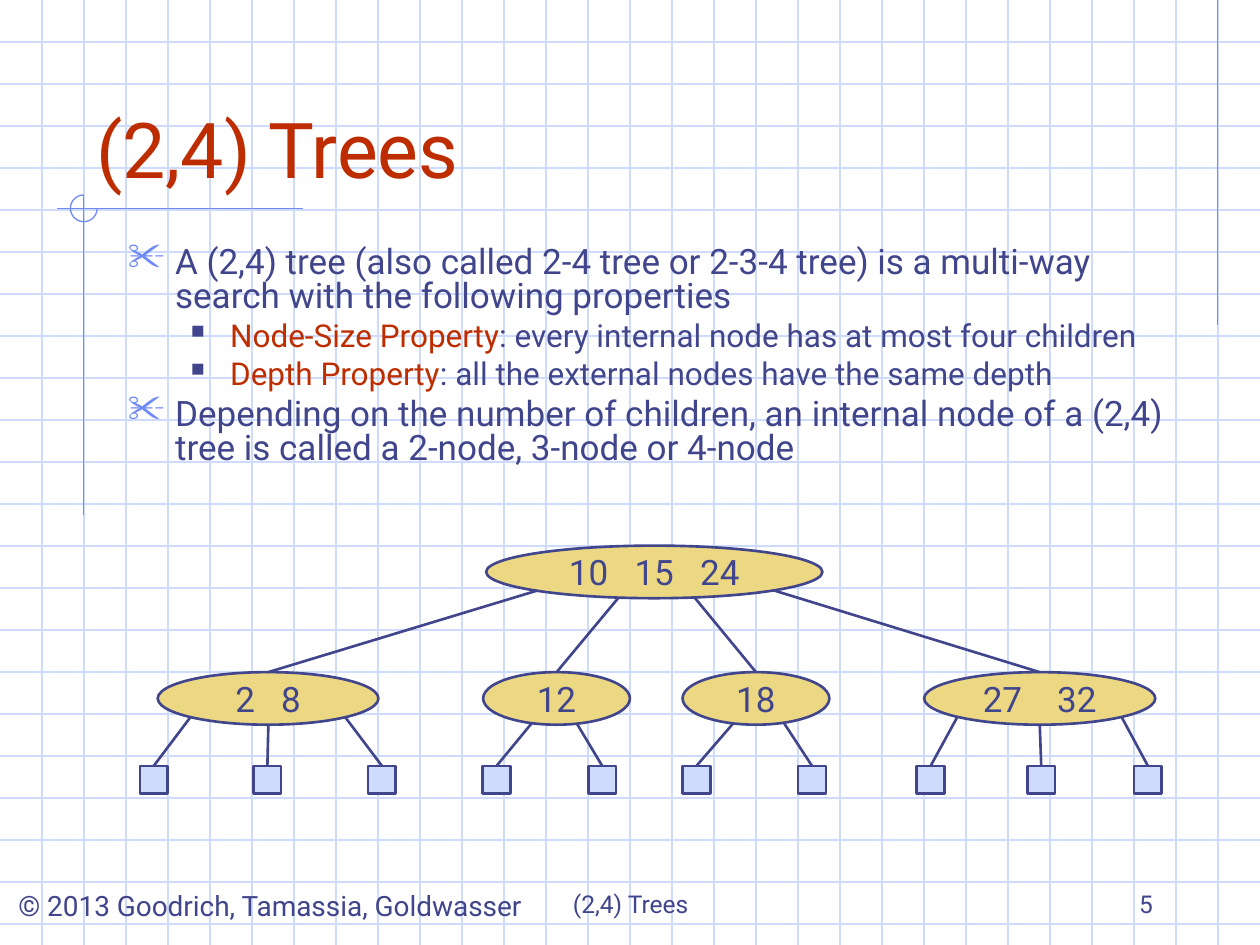
from dataclasses import dataclass
from math import sqrt

from lxml import etree
from pptx import Presentation
from pptx.dml.color import RGBColor
from pptx.enum.shapes import MSO_CONNECTOR, MSO_SHAPE
from pptx.enum.text import MSO_ANCHOR, PP_ALIGN
from pptx.oxml.ns import qn
from pptx.util import Cm, Pt

STRAIGHT = MSO_CONNECTOR.STRAIGHT
OVAL, SQUARE, ARC = MSO_SHAPE.OVAL, MSO_SHAPE.RECTANGLE, MSO_SHAPE.ARC
TOP, MIDDLE, BOTTOM = MSO_ANCHOR.TOP, MSO_ANCHOR.MIDDLE, MSO_ANCHOR.BOTTOM
LEFT, CENTER, RIGHT = PP_ALIGN.LEFT, PP_ALIGN.CENTER, PP_ALIGN.RIGHT

INDIGO = RGBColor(0x40, 0x45, 0x8C)
RED = RGBColor(0xBE, 0x2D, 0x00)
BLUE = RGBColor(0x6F, 0x89, 0xF7)
PALE_BLUE = RGBColor(0xCF, 0xDB, 0xFD)
GOLD = RGBColor(0xEC, 0xD8, 0x82)

FONT = "Roboto"
WIDTH, HEIGHT = 25.4, 19.05
GRID_STEP = WIDTH / 30
THIN, THICK = 0.74, 1.5
NODE_HEIGHT, LEAF_SIZE = 1.06, 0.56
ROOT_TOP, NODE_TOP, LEAF_TOP = 11.0, 13.55, 15.44


@dataclass
class Node:
    left: float
    top: float
    width: float
    keys: tuple[str, ...]
    edge_starts: tuple[float, ...]
    leaves: tuple[float, ...] = ()
    key_spacing: int = 10

    @property
    def center(self) -> float:
        return self.left + self.width / 2

    def rim(self, x: float) -> float:
        offset = (x - self.center) / (self.width / 2)
        return self.top + NODE_HEIGHT / 2 * (1 + sqrt(1 - offset ** 2))


@dataclass
class Label:
    text: str
    box: tuple[float, float, float, float]
    size: int
    color: RGBColor
    alignment: PP_ALIGN
    wrap: bool = True
    anchor: MSO_ANCHOR = BOTTOM


@dataclass
class Level:
    size: int
    before: float
    margin: float
    hanging: float
    bullet: str
    bullet_color: RGBColor
    bullet_percent: int


@dataclass
class Point:
    level: int
    text: str
    term: str = ""


LEVELS = (
    Level(20, 5, 0.95, 0.95, "✂", BLUE, 110),
    Level(18, 4.5, 2.06, 0.79, "■", INDIGO, 60),
)
POINTS = (
    Point(0, "A (2,4) tree (also called 2-4 tree or 2-3-4 tree) is a multi-way "
             "search with the following properties"),
    Point(1, ": every internal node has at most four children", "Node-Size Property"),
    Point(1, ": all the external nodes have the same depth", "Depth Property"),
    Point(0, "Depending on the number of children, an internal node of a (2,4) tree "
             "is called a 2-node, 3-node or 4-node"),
)
LABELS = (
    Label("© 2013 Goodrich, Tamassia, Goldwasser", (-0.13, 17.78, 11.15, 0.94),
          16, INDIGO, CENTER, False, TOP),
    Label("(2,4) Trees", (8.69, 17.36, 8.05, 1.27), 14, INDIGO, CENTER),
    Label("5", (18.2, 17.36, 5.29, 1.27), 14, INDIGO, RIGHT),
    Label("(2,4) Trees", (1.69, 0.85, 21.59, 3.18), 44, RED, LEFT),
)
ROOT = Node(9.8, ROOT_TOP, 6.78, ("10", "15", "24"), (10.82, 12.47, 14.0, 15.6))
CHILDREN = (
    Node(3.18, NODE_TOP, 4.45, ("2", "8"), (3.84, 5.41, 6.96), (2.82, 5.11, 7.42)),
    Node(9.74, NODE_TOP, 2.96, ("12",), (10.72, 11.63), (9.73, 11.86)),
    Node(13.76, NODE_TOP, 2.96, ("18",), (14.78, 15.8), (13.76, 16.09)),
    Node(18.63, NODE_TOP, 4.66, ("27", "32"), (19.3, 20.96, 22.61),
         (18.48, 20.71, 22.86), 15),
)

presentation = Presentation()
presentation.slide_width, presentation.slide_height = Cm(WIDTH), Cm(HEIGHT)
slide = presentation.slides.add_slide(presentation.slide_layouts[6])


def add_line(x1: float, y1: float, x2: float, y2: float,
             color: RGBColor, weight: float) -> None:
    line = slide.shapes.add_connector(STRAIGHT, Cm(x1), Cm(y1), Cm(x2), Cm(y2))
    line.line.color.rgb = color
    line.line.width = Pt(weight)
    etree.SubElement(line._element.spPr, qn("a:effectLst"))


def add_outline(kind: MSO_SHAPE, left: float, top: float, width: float, height: float,
                fill: RGBColor | None, color: RGBColor, weight: float):
    shape = slide.shapes.add_shape(kind, Cm(left), Cm(top), Cm(width), Cm(height))
    shape.shadow.inherit = False
    if fill is None:
        shape.fill.background()
    else:
        shape.fill.solid()
        shape.fill.fore_color.rgb = fill
    shape.line.color.rgb = color
    shape.line.width = Pt(weight)
    return shape


def set_font(paragraph, size: int, color: RGBColor) -> None:
    paragraph.font.name = FONT
    paragraph.font.size = Pt(size)
    paragraph.font.color.rgb = color


def add_text_frame(box: tuple[float, float, float, float], wrap: bool, anchor: MSO_ANCHOR):
    frame = slide.shapes.add_textbox(*map(Cm, box)).text_frame
    frame.word_wrap = wrap
    frame.vertical_anchor = anchor
    return frame


def add_label(label: Label) -> None:
    paragraph = add_text_frame(label.box, label.wrap, label.anchor).paragraphs[0]
    paragraph.text = label.text
    paragraph.alignment = label.alignment
    set_font(paragraph, label.size, label.color)


def add_point(paragraph, point: Point) -> None:
    level = LEVELS[point.level]
    paragraph.level = point.level
    paragraph.line_spacing = 0.8
    paragraph.space_before = Pt(level.before)
    set_font(paragraph, level.size, INDIGO)
    if point.term:
        term = paragraph.add_run()
        term.text = point.term
        term.font.color.rgb = RED
    paragraph.add_run().text = point.text
    properties = paragraph._p.get_or_add_pPr()
    properties.set("marL", str(Cm(level.margin)))
    properties.set("indent", str(-Cm(level.hanging)))
    default_font = properties.find(qn("a:defRPr"))
    color = etree.Element(qn("a:buClr"))
    etree.SubElement(color, qn("a:srgbClr"), val=str(level.bullet_color))
    size = etree.Element(qn("a:buSzPct"), val=str(level.bullet_percent * 1000))
    bullet = etree.Element(qn("a:buChar"), char=level.bullet)
    for element in (color, size, bullet):
        default_font.addprevious(element)


def add_node(node: Node) -> None:
    shape = add_outline(OVAL, node.left, node.top, node.width, NODE_HEIGHT,
                        GOLD, INDIGO, THICK)
    shape.text_frame.word_wrap = False
    shape.text_frame.vertical_anchor = MIDDLE
    paragraph = shape.text_frame.paragraphs[0]
    paragraph.alignment = CENTER
    set_font(paragraph, 20, INDIGO)
    for index, key in enumerate(node.keys):
        if index:
            gap = paragraph.add_run()
            gap.text = " "
            gap._r.get_or_add_rPr().set("spc", str(node.key_spacing * 100))
        paragraph.add_run().text = key
    for left, start in zip(node.leaves, node.edge_starts):
        add_outline(SQUARE, left, LEAF_TOP, LEAF_SIZE, LEAF_SIZE, PALE_BLUE, INDIGO, THICK)
        add_line(start, node.rim(start), left + LEAF_SIZE / 2, LEAF_TOP, INDIGO, THICK)


for row in range(1, 23):
    add_line(0, row * GRID_STEP, WIDTH, row * GRID_STEP, PALE_BLUE, THIN)
for column in range(1, 30):
    add_line(column * GRID_STEP, 0, column * GRID_STEP, HEIGHT, PALE_BLUE, THIN)
add_line(24.55, 0, 24.55, 6.55, BLUE, THIN)
add_line(6.1, 4.21, 1.14, 4.21, BLUE, THIN)
add_line(1.69, 3.93, 1.69, 10.39, BLUE, THIN)
corner_arc = add_outline(ARC, 1.42, 3.93, 0.54, 0.54, None, BLUE, THIN)
corner_arc.adjustments[0], corner_arc.adjustments[1] = 0, 162

for label in LABELS:
    add_label(label)

body = add_text_frame((2.33, 4.87, 21.59, 5.5), True, TOP)
for index, point in enumerate(POINTS):
    add_point(body.add_paragraph() if index else body.paragraphs[0], point)

add_node(ROOT)
for child, start in zip(CHILDREN, ROOT.edge_starts):
    add_node(child)
    add_line(start, ROOT.rim(start), child.center, child.top, INDIGO, THICK)

presentation.save("out.pptx")
